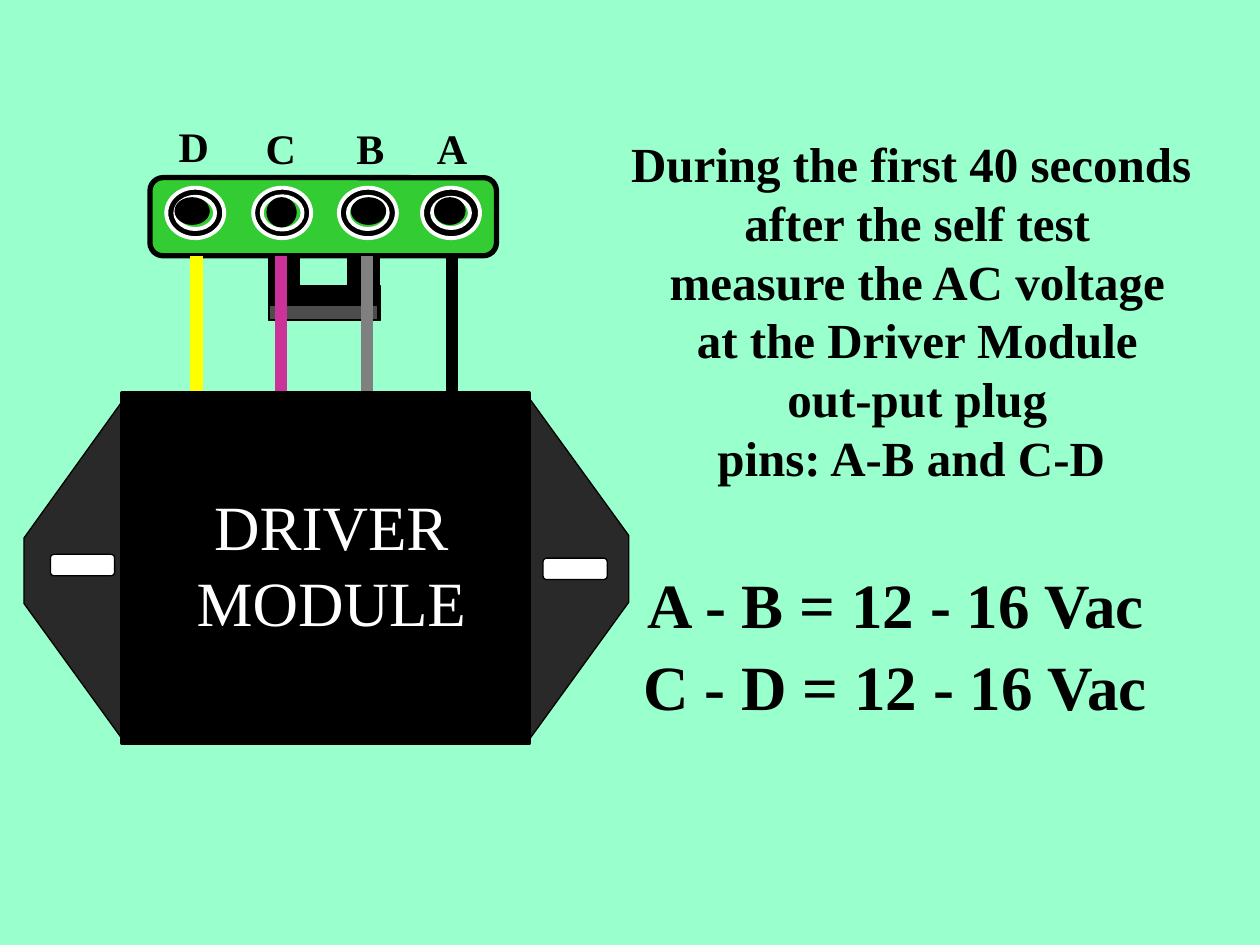
from lxml import etree
from pptx import Presentation
from pptx.dml.color import RGBColor
from pptx.enum import shapes as sh, text as tx
from pptx.oxml.ns import qn
from pptx.util import Inches, Pt

HUES = {
    "mint": "99FFCC", "black": "000000", "white": "FFFFFF", "green": "33CC33",
    "yellow": "FFFF00", "pink": "CC3399", "gray": "808080",
    "fin": "292929", "base": "4D4D4D",
}
RGB = {name: RGBColor.from_string(code) for name, code in HUES.items()}
KIND = sh.MSO_SHAPE

deck = Presentation()
deck.slide_width, deck.slide_height = Inches(10), Inches(7.5)
slide = deck.slides.add_slide(deck.slide_layouts[6])
slide.background.fill.solid()
slide.background.fill.fore_color.rgb = RGB["mint"]
parts = slide.shapes


def paint(shape, fill, line="black", width=0.75):
    shape.shadow.inherit = False
    shape.fill.solid()
    shape.fill.fore_color.rgb = RGB[fill]
    shape.line.color.rgb = RGB[line]
    shape.line.width = Pt(width)
    return shape


def write(at, lines, size, hue="black", bold=True, wrap=False, align=tx.PP_ALIGN.LEFT):
    frame = parts.add_textbox(*map(Inches, at)).text_frame
    frame.word_wrap = wrap
    for i, line in enumerate(lines):
        para = frame.paragraphs[0] if i == 0 else frame.add_paragraph()
        para.alignment = align
        run = para.add_run()
        run.text = line
        run.font.name = "Times New Roman"
        run.font.size = Pt(size)
        run.font.bold = bold
        run.font.color.rgb = RGB[hue]


# Plug bracket: two legs, a crossbar and its base strip
for at, fill in [
    ((2.76, 1.95, 0.25, 0.34), "black"),
    ((2.13, 1.97, 0.25, 0.34), "black"),
    ((2.13, 2.27, 0.89, 0.27), "black"),
    ((2.14, 2.42, 0.86, 0.12), "base"),
]:
    paint(parts.add_shape(KIND.RECTANGLE, *map(Inches, at)), fill)

# Plug body
plug = parts.add_shape(KIND.ROUNDED_RECTANGLE, *map(Inches, (1.19, 1.41, 2.75, 0.62)))
paint(plug, "green", width=3)

# Pins: letter, label left and top, ring left and hole ratio, core box, wire x and colour
pins = [
    ("D", 1.32, 0.91, 1.32, 0.18, (1.39, 1.57, 0.27, 0.21), 1.56, "yellow"),
    ("C", 2.01, 0.92, 2.01, 0.17, (2.12, 1.57, 0.23, 0.23), 2.23, "pink"),
    ("B", 2.73, 0.92, 2.69, 0.18, (2.79, 1.57, 0.27, 0.21), 2.91, "gray"),
    ("A", 3.37, 0.92, 3.35, 0.2, (3.45, 1.57, 0.24, 0.21), 3.59, "black"),
]
for name, left, top, ring_x, ratio, core, wire_x, hue in pins:
    ring = parts.add_shape(KIND.DONUT, *map(Inches, (ring_x, 1.49, 0.46, 0.4)))
    ring.adjustments[0] = ratio
    paint(ring, "black", "white", 2.25)
    paint(parts.add_shape(KIND.OVAL, *map(Inches, core)), "black")
    write((left, top, 0.44, 0.5), [name], 24)
    ends = map(Inches, (wire_x, 2.03, wire_x, 3.12))
    wire = parts.add_connector(sh.MSO_CONNECTOR.STRAIGHT, *ends)
    wire.line.color.rgb = RGB[hue]
    wire.line.width = Pt(7)
    etree.SubElement(wire._element.spPr, qn("a:effectLst"))

# Mounting fins, each with a slot
for points, slot in [
    ([(4.2, 5.87), (4.2, 3.16), (4.99, 4.25), (4.99, 4.78)], (4.31, 4.43)),
    ([(0.98, 3.17), (0.98, 5.88), (0.19, 4.79), (0.19, 4.27)], (0.4, 4.4)),
]:
    corners = [(Inches(x), Inches(y)) for x, y in points]
    fin = parts.build_freeform(*corners[0])
    fin.add_line_segments(corners[1:], close=True)
    paint(fin.convert_to_shape(), "fin")
    box = map(Inches, (*slot, 0.51, 0.17))
    paint(parts.add_shape(KIND.ROUNDED_RECTANGLE, *box), "white")

# Driver module
case = parts.add_shape(KIND.RECTANGLE, *map(Inches, (0.97, 3.12, 3.23, 2.78)))
paint(case, "black", width=2.25)
write((1.46, 3.82, 2.34, 1.3), ["DRIVER", "MODULE"], 36, "white", bold=False,
      align=tx.PP_ALIGN.CENTER)

# Instructions and expected readings
steps = [
    "During the first 40 seconds ",
    "after the self test",
    "measure the AC voltage",
    "at the Driver Module",
    "out-put plug",
    "pins: A-B and C-D ",
]
write((4.91, 1.01, 4.74, 2.9), steps, 28, align=tx.PP_ALIGN.CENTER)
write((5.04, 4.44, 4.51, 0.7), ["A - B = 12 - 16 Vac"], 36, wrap=True)
write((5.01, 5.09, 4.51, 0.7), ["C - D = 12 - 16 Vac"], 36, wrap=True)

deck.save("out.pptx")
